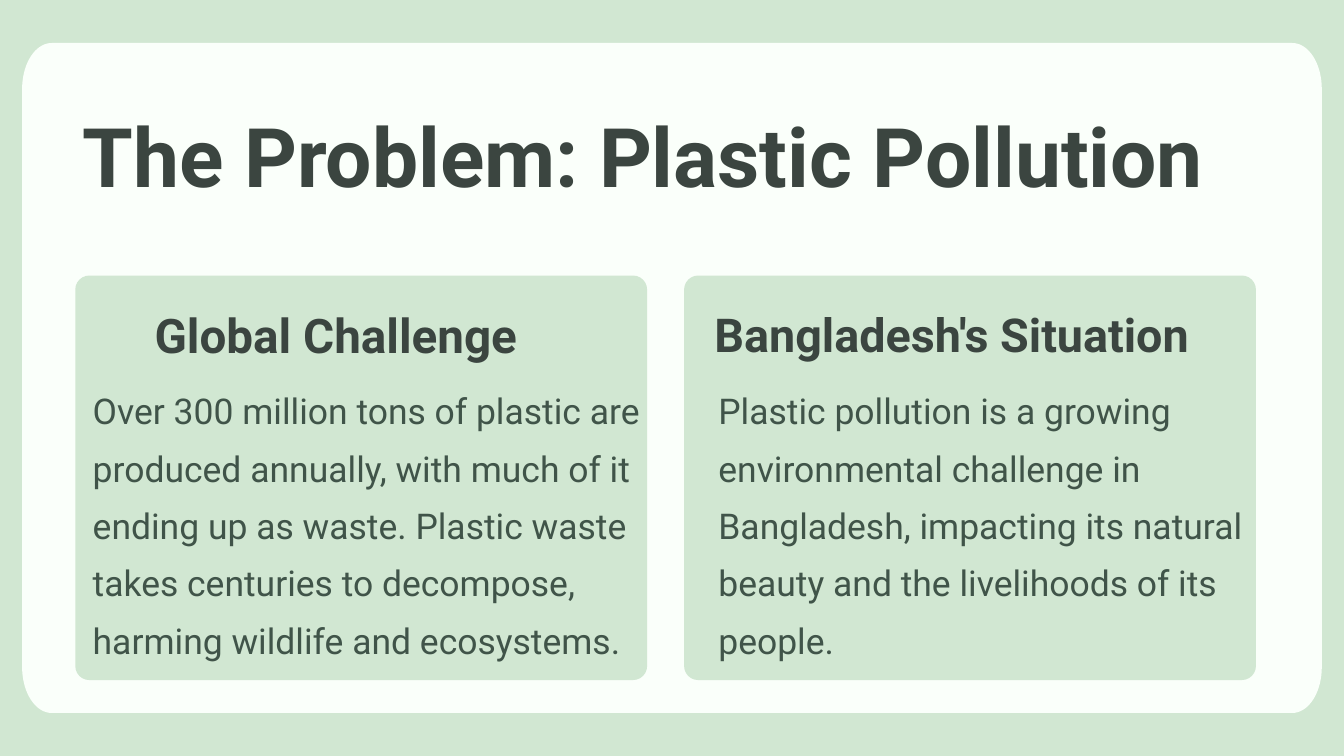
import math
from dataclasses import dataclass

from pptx import Presentation
from pptx import util as u
from pptx.dml.color import RGBColor
from pptx.enum import shapes, text

PX = 9144  # EMU per px, at 100 px to the inch
WIDTH, HEIGHT = 2000, 1125
FONT = "Roboto"
MINT = RGBColor(0xD1, 0xE7, 0xD2)
PAPER = RGBColor(0xFA, 0xFF, 0xFA)
HEADING = RGBColor(0x3B, 0x45, 0x40)
BODY = RGBColor(0x40, 0x54, 0x49)

CARD_TOP, CARD_WIDTH, CARD_HEIGHT, CARD_RADIUS = 410, 851, 602, 21
HEADING_TOP, BODY_TOP, BODY_WIDTH, BODY_HEIGHT = 453, 557, 825, 419


@dataclass(frozen=True)
class Box:
    left: int
    top: int
    width: int
    height: int

    def emu(self) -> tuple[int, ...]:
        return tuple(n * PX for n in (self.left, self.top, self.width, self.height))


@dataclass(frozen=True)
class Style:
    size: int
    spacing: float
    color: RGBColor
    bold: bool = True


@dataclass(frozen=True)
class Card:
    left: int
    heading: str
    heading_box: Box
    heading_style: Style
    body: str
    body_left: int


TITLE_STYLE = Style(88, 109.5, HEADING)
BODY_STYLE = Style(38, 61.5, BODY, bold=False)

CARDS = (
    Card(112, "Global Challenge", Box(230, HEADING_TOP, 641, 88),
         Style(51, 62.9, HEADING),
         "Over 300 million tons of plastic are produced annually, with much of it "
         "ending up as waste. Plastic waste takes centuries to decompose, harming "
         "wildlife and ecosystems.", 138),
    Card(1018, "Bangladesh's Situation", Box(1063, HEADING_TOP, 825, 87),
         Style(50, 61.6, HEADING),
         "Plastic pollution is a growing environmental challenge in Bangladesh, "
         "impacting its natural beauty and the livelihoods of its people.", 1069),
)


def paint(shape, color: RGBColor) -> None:
    shape.shadow.inherit = False
    shape.fill.solid()
    shape.fill.fore_color.rgb = color
    shape.line.fill.background()


def add_block(slide, kind, box: Box, color: RGBColor):
    block = slide.shapes.add_shape(kind, *box.emu())
    paint(block, color)
    return block


def add_panel(slide, box: Box, radius_x: int, radius_y: int) -> None:
    """Draw a panel whose corners are quarter ellipses."""
    right, bottom = box.left + box.width, box.top + box.height
    near_x, far_x = box.left + radius_x, right - radius_x
    near_y, far_y = box.top + radius_y, bottom - radius_y
    corners = ((far_x, far_y), (near_x, far_y), (near_x, near_y), (far_x, near_y))
    outline = []
    for quarter, (x, y) in enumerate(corners):
        for degrees in range(quarter * 90, quarter * 90 + 91, 5):
            angle = math.radians(degrees)
            outline.append((round((x + radius_x * math.cos(angle)) * PX),
                            round((y + radius_y * math.sin(angle)) * PX)))
    builder = slide.shapes.build_freeform(*outline[0])
    builder.add_line_segments(outline[1:], close=True)
    paint(builder.convert_to_shape(), PAPER)


def add_words(slide, box: Box, words: str, style: Style) -> None:
    frame = slide.shapes.add_textbox(*box.emu()).text_frame
    frame.margin_left = frame.margin_top = frame.margin_right = frame.margin_bottom = 0
    frame.word_wrap = True
    frame.auto_size = text.MSO_AUTO_SIZE.SHAPE_TO_FIT_TEXT
    frame.text = words
    paragraph = frame.paragraphs[0]
    paragraph.line_spacing = u.Pt(style.spacing)
    font = paragraph.runs[0].font
    font.name, font.size, font.bold = FONT, u.Pt(style.size), style.bold
    font.color.rgb = style.color


def add_card(slide, card: Card) -> None:
    block = add_block(slide, shapes.MSO_SHAPE.ROUNDED_RECTANGLE,
                      Box(card.left, CARD_TOP, CARD_WIDTH, CARD_HEIGHT), MINT)
    block.adjustments[0] = CARD_RADIUS / CARD_HEIGHT
    add_words(slide, card.heading_box, card.heading, card.heading_style)
    add_words(slide, Box(card.body_left, BODY_TOP, BODY_WIDTH, BODY_HEIGHT),
              card.body, BODY_STYLE)


def main() -> None:
    deck = Presentation()
    deck.slide_width, deck.slide_height = WIDTH * PX, HEIGHT * PX
    slide = deck.slides.add_slide(deck.slide_layouts[6])
    add_block(slide, shapes.MSO_SHAPE.RECTANGLE, Box(0, 0, WIDTH, HEIGHT), MINT)
    add_panel(slide, Box(33, 64, 1934, 997), 44, 68)
    add_words(slide, Box(123, 151, 1828, 154), "The Problem: Plastic Pollution",
              TITLE_STYLE)
    for card in CARDS:
        add_card(slide, card)
    deck.save("out.pptx")


if __name__ == "__main__":
    main()
